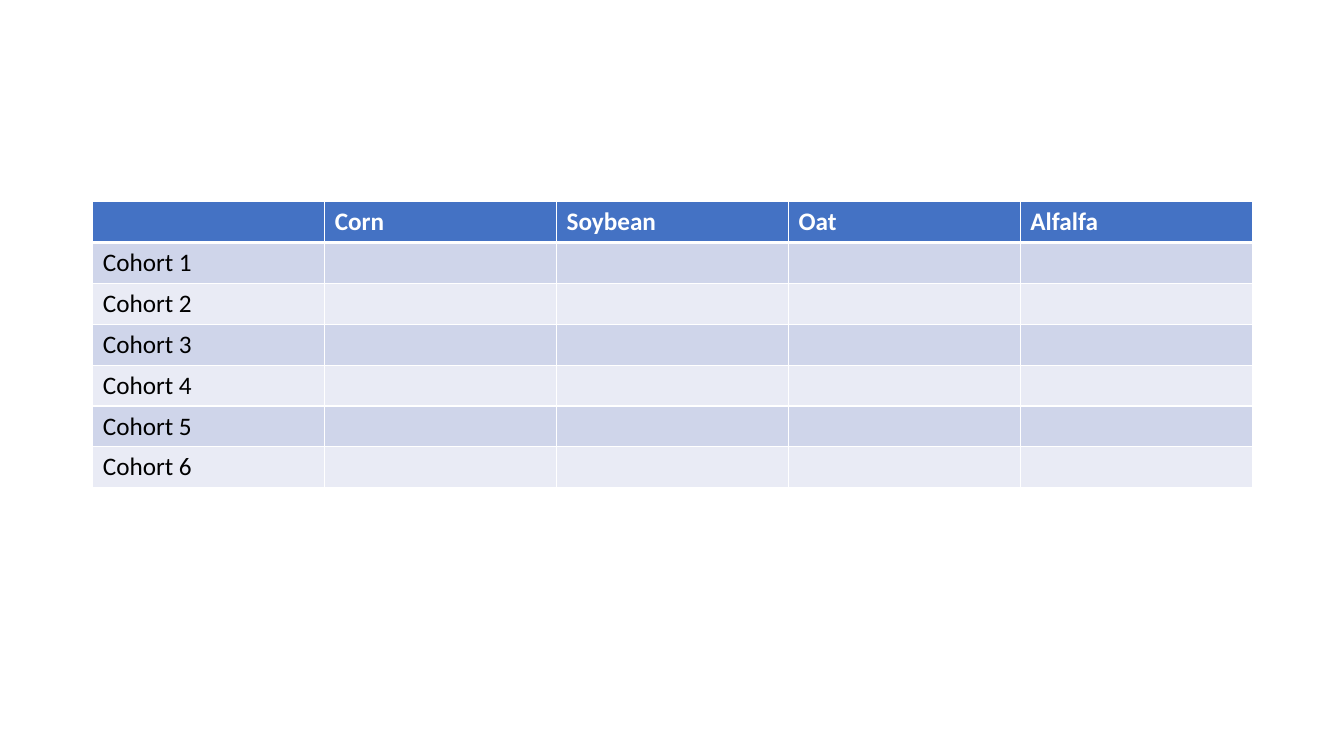
from lxml import etree
from pptx import Presentation
from pptx.dml.color import RGBColor
from pptx.oxml.ns import qn
from pptx.util import Inches, Pt

COLORS = {
    "header": "4472C4",
    "odd": "CFD5EA",
    "even": "E9EBF5",
    "white": "FFFFFF",
    "black": "000000",
}
CROPS = ["Corn", "Soybean", "Oat", "Alfalfa"]
COHORTS = 6


def write(tf, text, size=18, color="black", bold=False, font="Calibri"):
    r = tf.paragraphs[0].add_run()
    r.text = text
    r.font.name = font
    r.font.size = Pt(size)
    r.font.bold = bold
    r.font.color.rgb = RGBColor.from_string(COLORS[color])


def set_borders(cell, color="white", **widths):
    """Draw cell borders; widths maps the sides L, R, T, B to points."""
    tc_pr = cell._tc.get_or_add_tcPr()
    for side, width in widths.items():
        ln = etree.SubElement(tc_pr, qn(f"a:ln{side}"), w=str(Pt(width)))
        fill = etree.SubElement(ln, qn("a:solidFill"))
        etree.SubElement(fill, qn("a:srgbClr"), val=COLORS[color])


def format_cell(cell, row):
    set_borders(cell, L=1, R=1, T=3 if row == 1 else 1, B=3 if row == 0 else 1)
    band = "header" if row == 0 else "odd" if row % 2 else "even"
    cell.fill.solid()
    cell.fill.fore_color.rgb = RGBColor.from_string(COLORS[band])


def add_cohort_table(s):
    rows = [["", *CROPS]]
    rows += [[f"Cohort {n}"] + [""] * len(CROPS) for n in range(1, COHORTS + 1)]
    table = s.shapes.add_table(len(rows), len(rows[0]), Inches(0.92), Inches(2),
                               Inches(11.5), Inches(2.84)).table
    for i, row in enumerate(rows):
        for j, value in enumerate(row):
            cell = table.cell(i, j)
            format_cell(cell, i)
            if value:
                write(cell.text_frame, value, bold=i == 0,
                      color="white" if i == 0 else "black")


def main():
    prs = Presentation()
    prs.slide_width, prs.slide_height = Inches(13.33), Inches(7.5)
    s = prs.slides.add_slide(prs.slide_layouts[6])
    add_cohort_table(s)
    prs.save("out.pptx")


if __name__ == "__main__":
    main()
